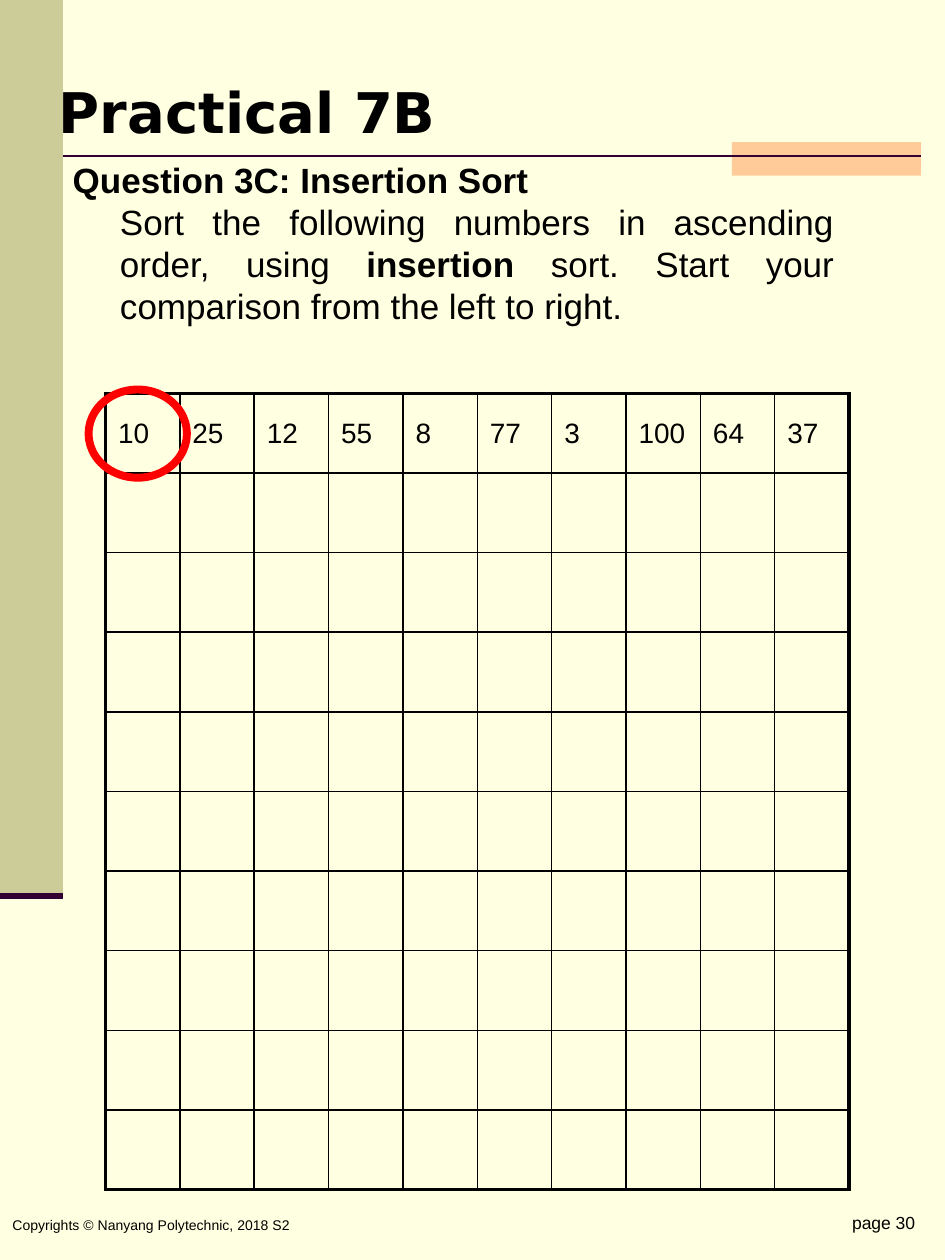
from pptx import Presentation
from pptx.dml.color import RGBColor
from pptx.enum.shapes import MSO_CONNECTOR, MSO_SHAPE
from pptx.enum.text import MSO_ANCHOR, PP_ALIGN
from pptx.oxml.ns import qn
from pptx.util import Pt
from lxml.etree import SubElement

HUES = {"page": "FFFFE1", "olive": "CCCC99", "peach": "FFCC99",
        "plum": "330033", "black": "000000", "red": "FF0000"}


def hue(name):
    return RGBColor.from_string(HUES[name])


def write(para, text, size, bold=False, face="Arial"):
    run = para.add_run()
    run.text = text
    run.font.name = face
    run.font.size = Pt(size)
    run.font.bold = bold
    run.font.color.rgb = hue("black")


deck = Presentation()
deck.slide_width, deck.slide_height = Pt(540), Pt(720)
slide = deck.slides.add_slide(deck.slide_layouts[6])
slide.background.fill.solid()
slide.background.fill.fore_color.rgb = hue("page")
shapes = slide.shapes

for box, name in [((0, 0, 36, 512), "olive"), ((418.3, 81.2, 108, 19.2), "peach")]:
    bar = shapes.add_shape(MSO_SHAPE.RECTANGLE, *map(Pt, box))
    bar.shadow.inherit = False
    bar.fill.solid()
    bar.fill.fore_color.rgb = hue(name)
    bar.line.fill.background()

for ends, width in [((36, 89.2, 526.3, 89.2), 1.5), ((0, 512, 36, 512), 3.5)]:
    rule = shapes.add_connector(MSO_CONNECTOR.STRAIGHT, *map(Pt, ends))
    rule.line.color.rgb = hue("plum")
    rule.line.width = Pt(width)
    SubElement(rule._element.spPr, qn("a:effectLst"))

foot = shapes.add_textbox(Pt(0), Pt(679.7), Pt(351), Pt(40.3)).text_frame
foot.vertical_anchor = MSO_ANCHOR.MIDDLE
write(foot.paragraphs[0], "Copyrights © Nanyang Polytechnic, 2018 S2", 8)

page = shapes.add_textbox(Pt(378), Pt(689), Pt(152), Pt(21.6)).text_frame
page.word_wrap = True
page.paragraphs[0].alignment = PP_ALIGN.RIGHT
write(page.paragraphs[0], "page 30", 10)

body = shapes.add_textbox(Pt(34.5), Pt(87.1), Pt(449.3), Pt(116)).text_frame
body.word_wrap = True
head, task = body.paragraphs[0], body.add_paragraph()
for para, indent in [(head, -27), (task, 0)]:
    para.alignment = PP_ALIGN.JUSTIFY
    para.line_spacing = Pt(24)
    props = para._p.get_or_add_pPr()
    props.set("marL", str(Pt(27)))
    props.set("indent", str(Pt(indent)))
write(head, "Question 3C: Insertion Sort", 20, True)
write(task, "Sort the following numbers in ascending order, using ", 20)
write(task, "insertion", 20, True)
write(task, " sort. Start your comparison from the left to right.", 20)

nums = [10, 25, 12, 55, 8, 77, 3, 100, 64, 37]
count = len(nums)
grid = shapes.add_table(count, count, Pt(60.3), Pt(224.8), Pt(425), Pt(455)).table
grid.first_row = grid.horz_banding = False
for col in grid.columns:
    col.width = Pt(42.5)
for row in grid.rows:
    row.height = Pt(45.5)

last = count - 1
for y in range(count):
    for x in range(count):
        cell = grid.cell(y, x)
        props = cell._tc.get_or_add_tcPr()
        for tag, edge in [("lnL", x == 0), ("lnR", x == last),
                          ("lnT", y == 0), ("lnB", y == last)]:
            line = SubElement(props, qn("a:" + tag), w=str(Pt(2.25 if edge else 1)))
            fill = SubElement(line, qn("a:solidFill"))
            SubElement(fill, qn("a:srgbClr"), val=HUES["black"])
        cell.fill.background()

for x, num in enumerate(nums):
    para = grid.cell(0, x).text_frame.paragraphs[0]
    para.line_spacing = 1.6
    write(para, str(num), 16)

ring = shapes.add_shape(MSO_SHAPE.OVAL, Pt(50.6), Pt(222.6), Pt(56.2), Pt(50.4))
ring.shadow.inherit = False
ring.fill.background()
ring.line.color.rgb = hue("red")
ring.line.width = Pt(4.5)

title = shapes.add_textbox(Pt(25.9), Pt(41), Pt(231), Pt(46)).text_frame
title.paragraphs[0].alignment = PP_ALIGN.CENTER
write(title.paragraphs[0], "Practical 7B", 32, True, "DejaVu Sans")

deck.save("out.pptx")
